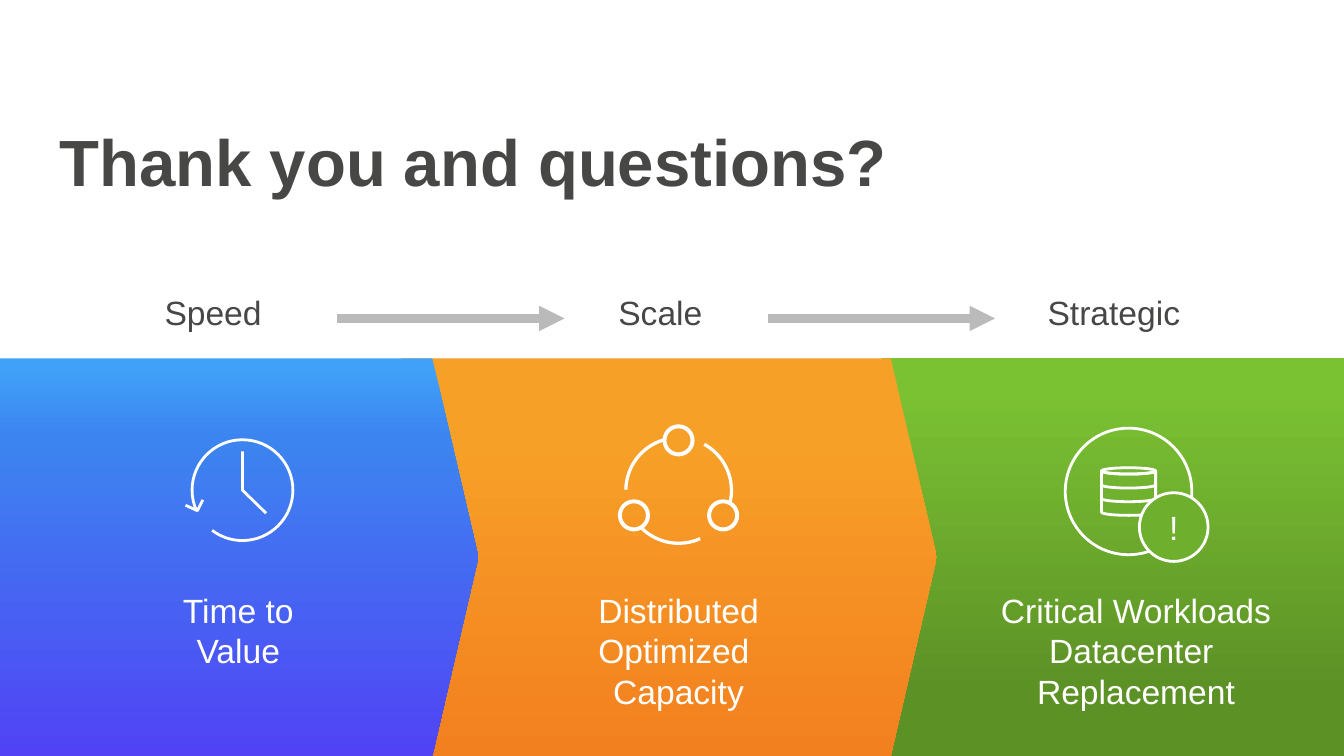
from copy import deepcopy
from math import ceil, cos, floor, radians, sin, tan

from lxml import etree
from pptx import Presentation
from pptx import util as u
from pptx.dml.color import RGBColor
from pptx.enum import shapes, text
from pptx.oxml.ns import qn

Pt = u.Pt
COLORS = {"ink": "474746", "white": "FFFFFF", "arrow": "BABABA", "badge": "6FAF2E"}
TITLE = "Thank you and questions?"
HEADINGS = [("Speed", 2.9, 222.5), ("Scale", 235.3, 236.9), ("Strategic", 473.6, 246.2)]
CAPTIONS = [
    ("Time to Value", 66.8, 121.7, 66.2),
    ("Distributed Optimized \vCapacity", 275, 177.1, 80.6),
    ("Critical Workloads Datacenter \vReplacement", 503.1, 211, 80.6),
]
PANELS = [
    ("RECTANGLE", 472.3, 249.1, [(7, "7BC233"), (84, "5C9126")]),
    ("PENTAGON", 214.6, 287.3, [(2, "F7A028"), (20, "F7A028"), (100, "F3801F")]),
    ("PENTAGON", 0, 256.3, [(2, "40A1F8"), (20, "3C85F0"), (100, "5143F5")]),
]
PANEL_TOP, PANEL_HEIGHT = 192, 213
ARROWS = [(180.7, 302.4), (411.5, 533)]
ARROW_Y = 170.6

CLOCK, CLOCK_RADIUS = (129.9, 262.6), 27
CYCLE, CYCLE_RADIUS = (363.6, 262.8), 28.3
CYCLE_ARCS = [(66, 135), (-61, 13), (181, 253)]
NODES = [(339.6, 276.1), (363.5, 235.9), (387.4, 276.1)]
NODE_RADIUS = 8.6
DISK_X, DISK_RX, DISK_RY = 604.6, 14.5, 1.7
DISK_TOP, DISK_BOTTOM, DISK_BANDS = 252.3, 274.4, (259.8, 267.1)

prs = Presentation()
prs.slide_width, prs.slide_height = Pt(720), Pt(405)
s = prs.slides.add_slide(prs.slide_layouts[6])


def rgb(color):
    return RGBColor.from_string(COLORS.get(color, color))


def write(sp, words, frame, para, font, color):
    tf = sp.text_frame
    tf.text = words
    p = tf.paragraphs[0]
    for target, values in ((tf, frame), (p, para)):
        for name, value in values.items():
            setattr(target, name, value)
    for r in p.runs:
        for name, value in {"name": "Arial", **font}.items():
            setattr(r.font, name, value)
        r.font.color.rgb = rgb(color)


def add_text(words, box, para, font, color, **frame):
    sp = s.shapes.add_textbox(*map(Pt, box))
    write(sp, words, {"word_wrap": True, **frame}, para, font, color)


def paint(sp, width=1.5, fill=None):
    sp.shadow.inherit = False
    if fill:
        sp.fill.solid()
        sp.fill.fore_color.rgb = rgb(fill)
    else:
        sp.fill.background()
    if width:
        sp.line.color.rgb = rgb("white")
        sp.line.width = Pt(width)
    else:
        sp.line.fill.background()
    return sp


def add_panel(kind, left, width, stops):
    sp = s.shapes.add_shape(
        shapes.MSO_SHAPE[kind], Pt(left), Pt(PANEL_TOP), Pt(width), Pt(PANEL_HEIGHT))
    sp.shadow.inherit = False
    sp.line.fill.background()
    if kind == "PENTAGON":
        sp.adjustments[0] = 0.116
    sp.fill.gradient()
    sp.fill.gradient_angle = 270
    stop_list = next(sp.element.iter(qn("a:gsLst")))
    while len(stop_list) < len(stops):
        stop_list.append(deepcopy(stop_list[0]))
    for stop, (percent, color) in zip(sp.fill.gradient_stops, stops):
        stop.position = percent / 100
        stop.color.rgb = rgb(color)


def add_arrow(x1, x2):
    c = s.shapes.add_connector(
        shapes.MSO_CONNECTOR.STRAIGHT, Pt(x1), Pt(ARROW_Y), Pt(x2), Pt(ARROW_Y))
    c.line.color.rgb = rgb("arrow")
    c.line.width = Pt(4.5)
    etree.SubElement(c.line._get_or_add_ln(), qn("a:tailEnd"), type="triangle")
    etree.SubElement(c.element.spPr, qn("a:effectLst"))


def arc(center, rx, ry, start, end):
    low, high = sorted((start, end))
    quarters = [90 * i for i in range(floor(low / 90) + 1, ceil(high / 90))]
    angles = sorted([low, *quarters, high], reverse=start > end)

    def at(angle, pull=0):
        a = radians(angle)
        return (center[0] + rx * (cos(a) - pull * sin(a)),
                center[1] + ry * (sin(a) + pull * cos(a)))

    points = [at(start)]
    for a, b in zip(angles, angles[1:]):
        pull = 4 / 3 * tan(radians(b - a) / 4)
        points += [at(a, pull), at(b, -pull), at(b)]
    return points


def add_path(points, width=1.5, close=False, curved=True):
    points = [(Pt(x), Pt(y)) for x, y in points]
    builder = s.shapes.build_freeform(*points[0])
    builder.add_line_segments(points[1:], close=close)
    sp = paint(builder.convert_to_shape(), width)
    if curved:
        lines = list(sp.element.iter(qn("a:lnTo")))
        for i in range(0, len(lines), 3):
            curve = etree.Element(qn("a:cubicBezTo"))
            lines[i].addprevious(curve)
            for line in lines[i:i + 3]:
                curve.append(line[0])
                line.getparent().remove(line)


def add_round(kind, center, rx, ry, **style):
    box = center[0] - rx, center[1] - ry, 2 * rx, 2 * ry
    return paint(s.shapes.add_shape(shapes.MSO_SHAPE[kind], *map(Pt, box)), **style)


add_text(TITLE, (24.8, 23.8, 676.8, 117.4), {"line_spacing": 0.9},
         {"size": Pt(35), "bold": True}, "ink", margin_top=Pt(45.8))
centered = {"alignment": text.PP_ALIGN.CENTER}
body = {"size": Pt(18)}
for words, left, width in HEADINGS:
    add_text(words, (left, 155.5, width, 36.7), {**centered, "line_spacing": 0.9}, body, "ink")
for panel in PANELS:
    add_panel(*panel)
for ends in ARROWS:
    add_arrow(*ends)

add_path(arc(CLOCK, CLOCK_RADIUS, CLOCK_RADIUS, 127, -204))
add_path([(129.9, 241.9), (129.9, 262.6), (142.6, 275)], curved=False)
add_path([(108.7, 267.8), (105.8, 273.6), (99.4, 270.7)], curved=False)

for center in NODES:
    node = add_round("DONUT", center, NODE_RADIUS, NODE_RADIUS, width=0, fill="white")
    node.adjustments[0] = 0.125
for start, end in CYCLE_ARCS:
    add_path(arc(CYCLE, CYCLE_RADIUS, CYCLE_RADIUS, start, end), 1.75)

add_round("OVAL", (DISK_X, DISK_TOP), DISK_RX, DISK_RY)
rim = arc((DISK_X, DISK_TOP), DISK_RX, DISK_RY, 180, 0)
base = arc((DISK_X, DISK_BOTTOM), DISK_RX, DISK_RY, 0, 180)
rim = [(x, 2 * DISK_TOP - y) for x, y in rim] if rim[3][1] < DISK_TOP else rim
add_path(rim + [rim[-1], base[0]] + base, close=True)
for y in DISK_BANDS:
    add_path(arc((DISK_X, y), DISK_RX, DISK_RY, 0, 180))
add_round("OVAL", (DISK_X, 263.3), 33.9, 33.9)
badge = add_round("OVAL", (628.8, 282.4), 18.4, 18.4, fill="badge")
write(badge, "!", {"vertical_anchor": text.MSO_ANCHOR.MIDDLE}, centered, body, "white")

for words, left, width, height in CAPTIONS:
    add_text(words, (left, 312.5, width, height), centered, body, "white")

prs.save("out.pptx")
